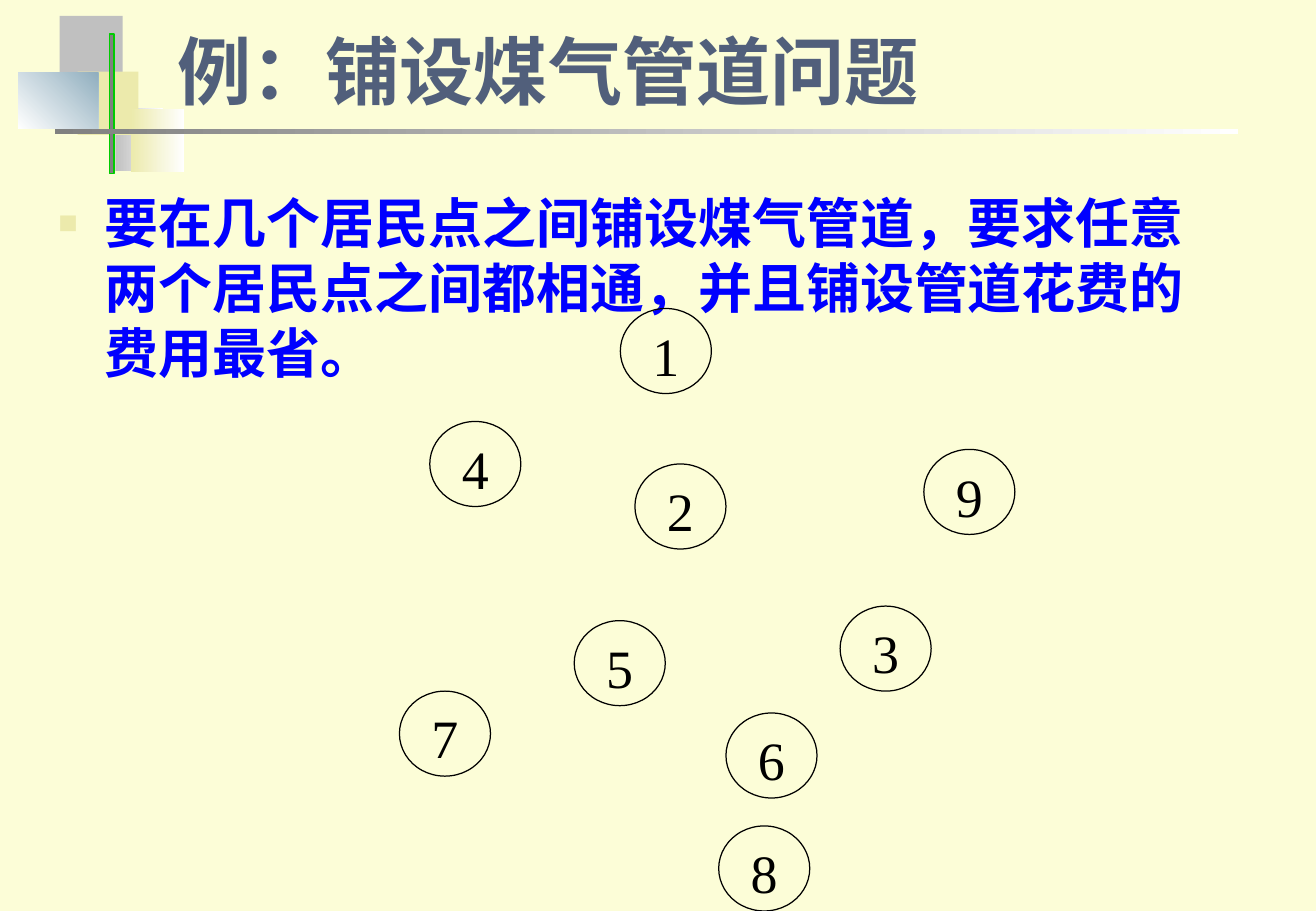
from lxml.etree import SubElement
from pptx import Presentation
from pptx.dml.color import RGBColor as RGB
from pptx.enum.shapes import MSO_SHAPE as Kind
from pptx.enum.text import MSO_ANCHOR as Anchor, MSO_AUTO_SIZE as Fit, PP_ALIGN as Align
from pptx.oxml.ns import qn
from pptx.util import Inches, Pt

CREAM = RGB(0xFC, 0xFD, 0xD7)
SILVER = RGB(0xC0, 0xC0, 0xC0)
WHITE = RGB(0xFF, 0xFF, 0xFF)
SAND = RGB(0xEC, 0xEA, 0xAC)
MIST = RGB(0x91, 0xAF, 0xBF)
GRAY = RGB(0x80, 0x80, 0x80)
GREEN = RGB(0x00, 0xCC, 0x00)
SLATE = RGB(0x51, 0x5F, 0x7B)
BLUE = RGB(0x00, 0x00, 0xFF)
BLACK = RGB(0x00, 0x00, 0x00)

# Left, top, width, height, colours, angle, line colour
DECOR = [
    (0.49, 0.13, 0.52, 0.52, [SILVER], 0, None),
    (0.95, 0.89, 0.39, 0.52, [SILVER, WHITE], 0, None),
    (0.64, 0.59, 0.5, 0.52, [SAND], 0, None),
    (1.08, 0.9, 0.44, 0.52, [SAND, WHITE], 0, None),
    (0.15, 0.6, 0.66, 0.46, [WHITE, MIST], 45, None),
    (0.9, 0.28, 0.04, 1.15, [GRAY], 0, GREEN),
    (0.45, 1.06, 9.75, 0.04, [GRAY, WHITE], 0, None),
]

# Offset of each numbered place from the corner of the map
PLACES = {
    1: (1.82, 0), 2: (1.94, 1.28), 3: (3.63, 2.45),
    4: (0.25, 0.93), 5: (1.44, 2.57), 6: (2.69, 3.33),
    7: (0, 3.15), 8: (2.63, 4.26), 9: (4.32, 1.16),
}


def write(shape, text, size, font, color, bold=False, align=Align.LEFT,
          anchor=Anchor.TOP, wrap=True, top=0.05):
    frame = shape.text_frame
    frame.text = text
    frame.auto_size = Fit.NONE
    frame.word_wrap = wrap
    frame.vertical_anchor = anchor
    frame.margin_left = frame.margin_right = Inches(0.1)
    frame.margin_top, frame.margin_bottom = Inches(top), Inches(0.05)
    par = frame.paragraphs[0]
    par.alignment = align
    par.space_before = Pt(0)
    run = par.runs[0]
    face = run.font
    face.size, face.name, face.bold = Pt(size), font, bold
    face.color.rgb = color
    SubElement(run._r.get_or_add_rPr(), qn("a:ea"), typeface=font)
    return par


def place(shape, left, top, width, height):
    shape.left, shape.top = Inches(left), Inches(top)
    shape.width, shape.height = Inches(width), Inches(height)


def draw(slide, kind, box, colors=(), angle=0, edge=None):
    shape = slide.shapes.add_shape(kind, *map(Inches, box))
    shape.shadow.inherit = False
    fill = shape.fill
    if len(colors) == 2:
        fill.gradient()
        fill.gradient_angle = angle
        for stop, color in zip(fill.gradient_stops, colors):
            stop.color.rgb = color
    elif colors:
        fill.solid()
        fill.fore_color.rgb = colors[0]
    else:
        fill.background()
    if edge is None:
        shape.line.fill.background()
    else:
        shape.line.color.rgb = edge
        shape.line.width = Pt(0.75)
    return shape


def add_decor(slide, left, top):
    for x, y, width, height, colors, angle, edge in DECOR:
        box = (left + x, top + y, width, height)
        draw(slide, Kind.RECTANGLE, box, colors, angle, edge)


def add_title(slide, box):
    title = slide.shapes.title
    place(title, *box)
    write(title, "例：铺设煤气管道问题", 44, "Roboto", SLATE, bold=True,
          anchor=Anchor.BOTTOM)
    slide.shapes._spTree.append(title._element)


def add_body(slide, box):
    body = slide.placeholders[1]
    place(body, *box)
    par = write(body, "要在几个居民点之间铺设煤气管道，要求任意两个居民点之间都相通，"
                "并且铺设管道花费的费用最省。", 32, "Roboto", BLUE, bold=True, top=0.09)
    props = par._p.get_or_add_pPr()
    props.set("marL", str(Inches(0.38)))
    props.set("indent", str(-Inches(0.38)))
    tint = SubElement(props, qn("a:buClr"))
    SubElement(tint, qn("a:srgbClr"), val=str(SAND))
    SubElement(props, qn("a:buSzPct"), val="60000")
    SubElement(props, qn("a:buFont"), typeface="Arial")
    SubElement(props, qn("a:buChar"), char="■")
    slide.shapes._spTree.append(body._element)


def add_map(slide, left, top):
    for number, (x, y) in PLACES.items():
        dot = draw(slide, Kind.OVAL, (left + x, top + y, 0.75, 0.7), edge=BLACK)
        write(dot, str(number), 32, "Times New Roman", BLACK, align=Align.CENTER,
              anchor=Anchor.MIDDLE, wrap=False, top=0.11)


def main():
    deck = Presentation()
    deck.slide_width, deck.slide_height = Inches(10.84), Inches(7.5)
    slide = deck.slides.add_slide(deck.slide_layouts[1])
    back = slide.background.fill
    back.solid()
    back.fore_color.rgb = CREAM
    add_decor(slide, 0, 0)
    add_title(slide, (1.36, 0.07, 9.23, 0.92))
    add_body(slide, (0.38, 1.47, 9.84, 4.89))
    add_map(slide, 3.29, 2.54)
    deck.save("out.pptx")


if __name__ == "__main__":
    main()
